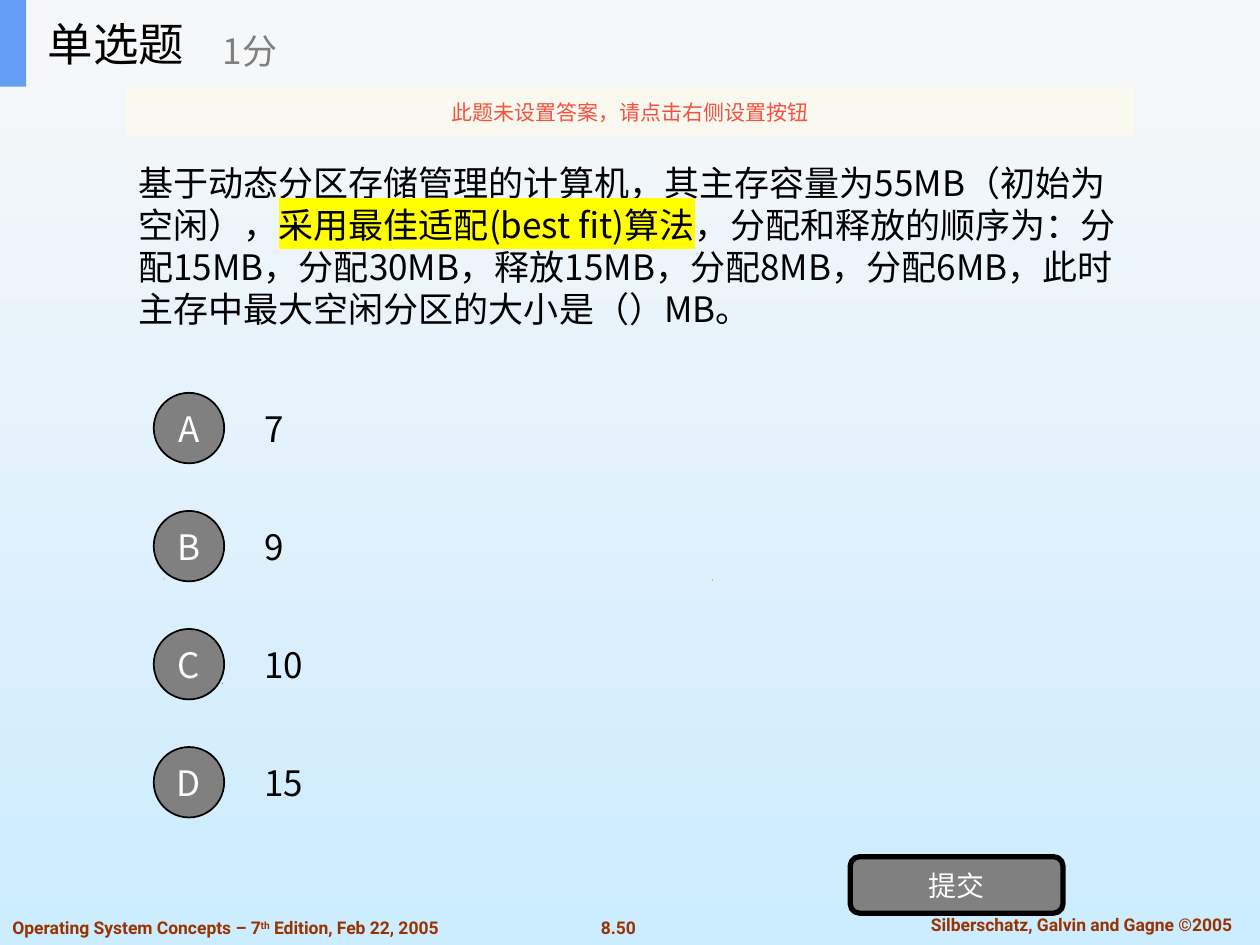
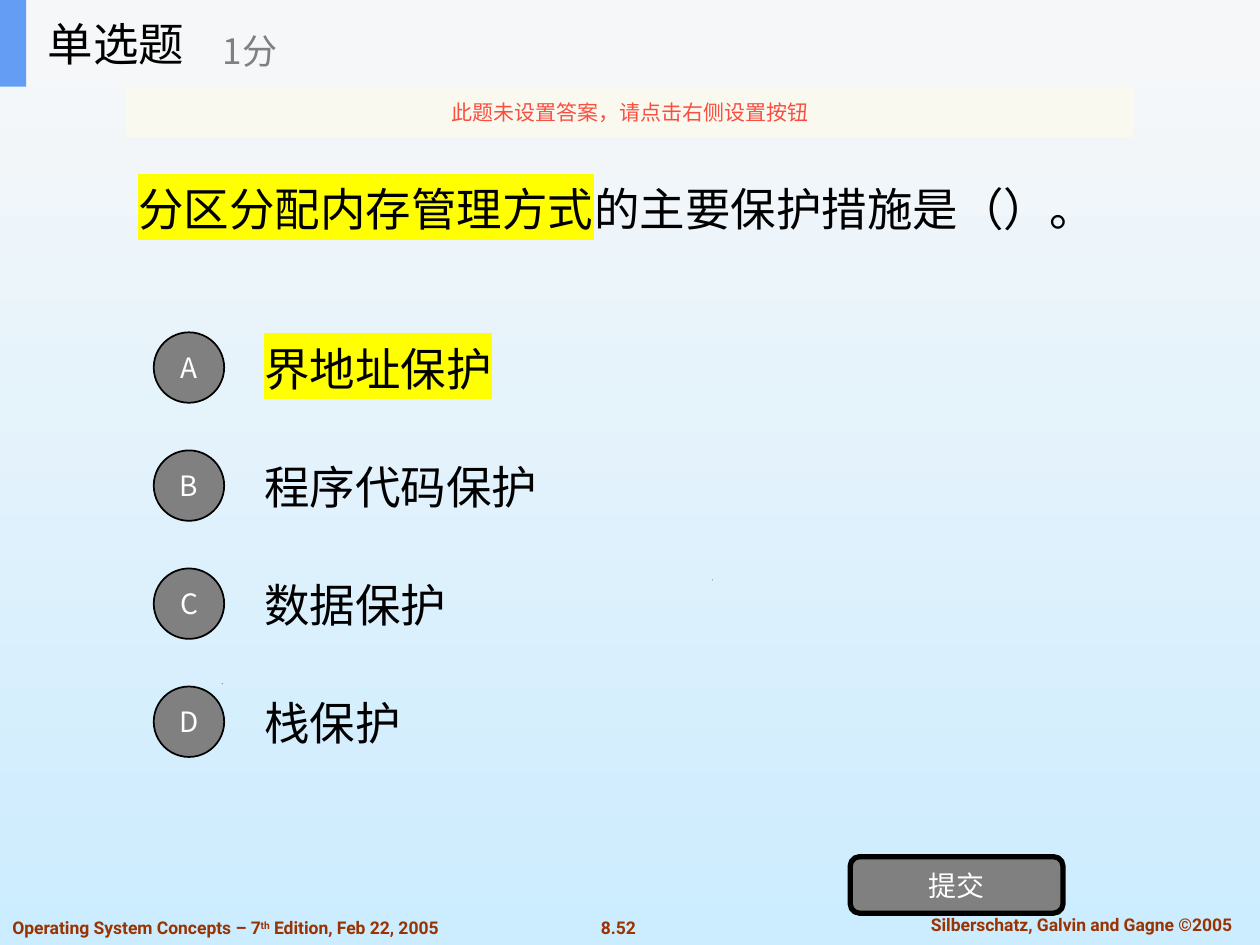
import pptx
import pptx.util
import pptx.dml.color
import pptx.enum.shapes
import pptx.enum.text
import pptx.oxml
import pptx.oxml.ns

Cm, Pt = pptx.util.Cm, pptx.util.Pt
SHAPE = pptx.enum.shapes.MSO_SHAPE
ALIGN = pptx.enum.text.PP_ALIGN
NS = pptx.oxml.ns.nsdecls("a")

HEX = {
    "black": "000000", "white": "FFFFFF", "grey": "808080",
    "mark": "FFFF00", "foot": "993300", "band": "F6F7F8",
    "blue": "639EF4", "cream": "FBFAEF", "red": "F84F41",
    "top": "F8F8F8", "base": "CCECFF",
}
HAN = "Noto Sans CJK SC"
FOOT = {"name": "Roboto", "size": Pt(10), "bold": True}
PITCH = 2.38
SPECKS = [(4.47, 13.79), (3.3, 11.68), (14.35, 11.7)]

QUIZ = [
    {
        "page": "8.50", "size": 20, "badge": 20,
        "box": (2.54, 1.98, 20.32, 5.94), "top": 7.75,
        "ask": [
            ("基于动态分区存储管理的计算机，其主存容量为55MB（初始为空闲），", ""),
            ("采用最佳适配(best fit)算法", "mark"),
            ("，分配和释放的顺序为：分配15MB，分配30MB，释放15MB，分配8MB，"
             "分配6MB，此时主存中最大空闲分区的大小是（）MB。", ""),
        ],
        "picks": [("7", ""), ("9", ""), ("10", ""), ("15", "")],
    },
    {
        "page": "8.52", "size": 26, "badge": 16,
        "box": (2.54, 2.21, 20.32, 3.99), "top": 6.53,
        "ask": [("分区分配内存管理方式", "mark"), ("的主要保护措施是（）。", "")],
        "picks": [("界地址保护", "mark"), ("程序代码保护", ""),
                  ("数据保护", ""), ("栈保护", "")],
    },
]


def rgb(name):
    return pptx.dml.color.RGBColor.from_string(HEX[name])


def han(size):
    return {"name": HAN, "size": Pt(size)}


def write(shape, runs, form, color="black", align=ALIGN.LEFT):
    """Fill a shape with (text, style) runs; style is "", "mark" or "sup"."""
    frame = shape.text_frame
    frame.word_wrap = True
    frame.vertical_anchor = pptx.enum.text.MSO_ANCHOR.MIDDLE
    line = frame.paragraphs[0]
    line.alignment = align
    for text, style in runs:
        run = line.add_run()
        run.text = text
        for key, value in form.items():
            setattr(run.font, key, value)
        run.font.color.rgb = rgb(color)
        props = run.font._element
        latin = props.find(pptx.oxml.ns.qn("a:latin"))
        latin.addnext(pptx.oxml.parse_xml(
            f'<a:ea {NS} typeface="{form["name"]}"/>'))
        if style == "mark":
            latin.addprevious(pptx.oxml.parse_xml(
                f'<a:highlight {NS}><a:srgbClr val="{HEX["mark"]}"/></a:highlight>'))
        elif style == "sup":
            props.set("baseline", "30000")


def label(shapes, box, runs, form, color="black", align=ALIGN.LEFT):
    write(shapes.add_textbox(*map(Cm, box)), runs, form, color, align)


def block(shapes, kind, box, fill, edge=0):
    """Add a filled shape, outlined in black when edge (points) is given."""
    shape = shapes.add_shape(kind, *map(Cm, box))
    shape.shadow.inherit = False
    shape.fill.solid()
    shape.fill.fore_color.rgb = rgb(fill)
    if edge:
        shape.line.color.rgb = rgb("black")
        shape.line.width = Pt(edge)
    else:
        shape.line.fill.background()
    return shape


def speck(shapes, x, y):
    pen = shapes.build_freeform(Cm(x), Cm(y))
    pen.add_line_segments([(Cm(x + 0.02), Cm(y - 0.02)), (Cm(x + 0.01), Cm(y))])
    dot = pen.convert_to_shape()
    dot.shadow.inherit = False
    dot.fill.solid()
    dot.fill.fore_color.rgb = rgb("black")
    dot.line.fill.background()


def footer(shapes, page):
    label(shapes, (11.79, 18.36, 1.35, 0.69), [(page, "")], FOOT, "foot", ALIGN.CENTER)
    label(shapes, (18.03, 18.29, 7.54, 0.69),
          [("Silberschatz, Galvin and Gagne ©2005", "")], FOOT, "foot", ALIGN.CENTER)
    label(shapes, (0, 18.36, 10.69, 0.69),
          [("Operating System Concepts – 7", ""), ("th", "sup"),
           (" Edition, Feb 22, 2005", "")], FOOT, "foot")


def header(shapes):
    group = shapes.add_group_shape().shapes
    block(group, SHAPE.RECTANGLE, (0, 0, 25.4, 1.75), "band")
    block(group, SHAPE.RECTANGLE, (0, 0, 0.53, 1.75), "blue")
    label(group, (0.71, 0, 5.28, 1.75), [("单选题", "")], han(26))
    label(group, (4.24, 0.3, 6.35, 1.42), [("1分", "")], han(20), "grey")


def notice(shapes):
    strip = block(shapes, SHAPE.RECTANGLE, (2.54, 1.75, 20.32, 1.02), "cream")
    tint = strip._element.spPr.find(".//" + pptx.oxml.ns.qn("a:srgbClr"))
    tint.append(pptx.oxml.parse_xml(f'<a:alpha {NS} val="90000"/>'))
    write(strip, [("此题未设置答案，请点击右侧设置按钮", "")], han(12), "red", ALIGN.CENTER)


def badge(shapes, letter, top, size):
    disc = block(shapes, SHAPE.OVAL, (3.1, top, 1.42, 1.42), "grey", 1)
    write(disc, [(letter, "")], han(size), "white", ALIGN.CENTER)


def submit(shapes):
    button = block(shapes, SHAPE.ROUNDED_RECTANGLE, (17.14, 17.27, 4.29, 1.14), "grey", 3)
    write(button, [("提交", "")], han(16), "white", ALIGN.CENTER)


def build(deck, quiz):
    shapes = deck.slides.add_slide(deck.slide_layouts[6]).shapes
    for x, y in SPECKS:
        speck(shapes, x, y)
    footer(shapes, quiz["page"])
    label(shapes, quiz["box"], quiz["ask"], han(quiz["size"]))
    for row, (letter, pick) in enumerate(zip("ABCD", quiz["picks"])):
        top = quiz["top"] + row * PITCH
        label(shapes, (5.08, top, 17.78, 1.78), [pick], han(quiz["size"]))
        badge(shapes, letter, top + 0.17, quiz["badge"])
    submit(shapes)
    header(shapes)
    notice(shapes)


def paint(master):
    fill = master.background.fill
    fill.gradient()
    fill.gradient_angle = 270
    for stop, name in zip(fill.gradient_stops, ("top", "base")):
        stop.color.rgb = rgb(name)


def main():
    deck = pptx.Presentation()
    deck.slide_width, deck.slide_height = Cm(25.4), Cm(19.05)
    paint(deck.slide_master)
    for quiz in QUIZ:
        build(deck, quiz)
    deck.save("out.pptx")


if __name__ == "__main__":
    main()
